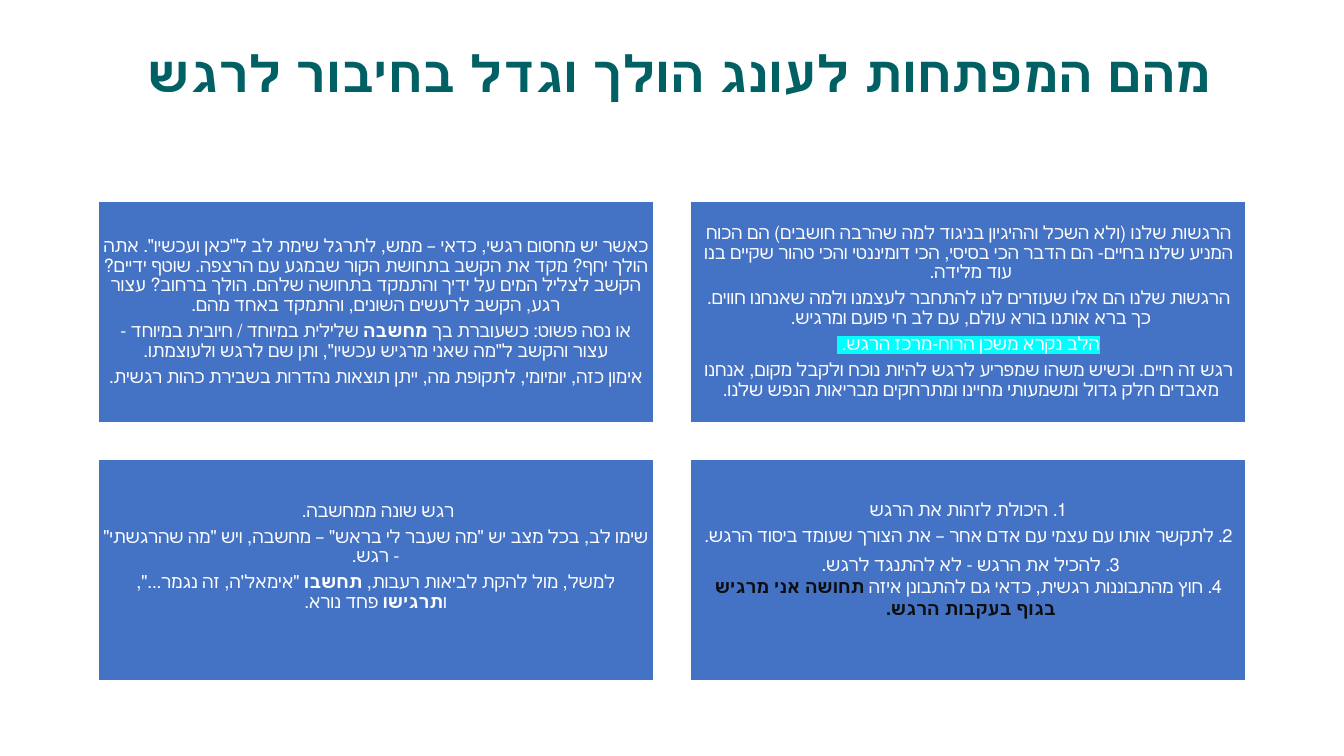
from lxml import etree
from pptx import Presentation
from pptx.dml.color import RGBColor
from pptx.enum.lang import MSO_LANGUAGE_ID
from pptx.enum.shapes import MSO_SHAPE
from pptx.enum.text import MSO_ANCHOR, MSO_AUTO_SIZE, PP_ALIGN
from pptx.oxml.ns import qn
from pptx.util import Inches, Pt

RECTANGLE = MSO_SHAPE.RECTANGLE
TOP, MIDDLE = MSO_ANCHOR.TOP, MSO_ANCHOR.MIDDLE
NO_AUTOFIT = MSO_AUTO_SIZE.NONE
CENTER = PP_ALIGN.CENTER
HEBREW = MSO_LANGUAGE_ID.HEBREW

COLORS = {"title": "016064", "card": "4472C4", "white": "FFFFFF",
          "emphasis": "0D0D0D", "highlight": "00FFFF"}
FONT = "Calibri"
BOLD = {"bold": True}
DARK_BOLD = {"bold": True, "color": "emphasis"}
MARKED = {"highlight": "highlight"}

TITLE = "מהם המפתחות לעונג הולך וגדל בחיבור לרגש "

# Each card is a list of paragraphs, each paragraph a list of (text, style) runs.
ATTENTION = [
    [("כאשר יש מחסום רגשי, כדאי – ממש, לתרגל שימת לב ל\"כאן ועכשיו\". אתה הולך יחף? "
      "מקד את הקשב בתחושת הקור שבמגע עם הרצפה. שוטף ידיים? הקשב לצליל המים על ידיך "
      "והתמקד בתחושה שלהם. הולך ברחוב? עצור רגע, הקשב לרעשים השונים, והתמקד באחד מהם.", {})],
    [("או נסה פשוט: כשעוברת בך ", {}), ("מחשבה", BOLD),
     (" שלילית במיוחד / חיובית במיוחד - עצור והקשב ל\"מה שאני מרגיש עכשיו\", "
      "ותן שם לרגש ולעוצמתו.", {})],
    [("אימון כזה, יומיומי, לתקופת מה, ייתן תוצאות נהדרות בשבירת כהות רגשית.", {})],
]
POWER_OF_FEELING = [
    [("הרגשות שלנו (ולא השכל וההיגיון בניגוד למה שהרבה חושבים) הם הכוח המניע שלנו "
      "בחיים- הם הדבר הכי בסיסי, הכי דומיננטי והכי טהור שקיים בנו עוד מלידה. ", {})],
    [("הרגשות שלנו הם אלו שעוזרים לנו להתחבר לעצמנו ולמה שאנחנו חווים. "
      "כך ברא אותנו בורא עולם, עם לב חי פועם ומרגיש. ", {})],
    [("הלב נקרא משכן הרוח-מרכז הרגש. ", MARKED)],
    [("רגש זה חיים. וכשיש משהו שמפריע לרגש להיות נוכח ולקבל מקום, אנחנו מאבדים "
      "חלק גדול ומשמעותי מחיינו ומתרחקים מבריאות הנפש שלנו. ", {})],
]
FEELING_VS_THOUGHT = [
    [("רגש שונה ממחשבה. ", {})],
    [("שימו לב, בכל מצב יש \"מה שעבר לי בראש\" – מחשבה, ויש \"מה שהרגשתי\" - רגש.", {})],
    [("למשל, מול להקת לביאות רעבות, ", {}), ("תחשבו", BOLD),
     (" \"אימאל'ה, זה נגמר...\", ו", {}), ("תרגישו", BOLD), (" פחד נורא.", {})],
]
STEPS = [
    [("1. היכולת לזהות את הרגש", {})],
    [("2. לתקשר אותו עם עצמי עם אדם אחר – את הצורך שעומד ביסוד הרגש.", {})],
    [("3. להכיל את הרגש - לא להתנגד לרגש. ", {})],
    [("4. חוץ מהתבוננות רגשית, כדאי גם להתבונן איזה ", {}),
     ("תחושה אני מרגיש בגוף בעקבות הרגש. ", DARK_BOLD)],
]


class SlideBuilder:
    def __init__(self, slide):
        self.slide = slide

    def add_run(self, paragraph, text, size, color="white", bold=False, highlight=None):
        run = paragraph.add_run()
        run.text = text
        font = run.font
        font.size, font.bold, font.name = Pt(size), bold, FONT
        font.language_id = HEBREW
        font.color.rgb = RGBColor.from_string(COLORS[color])
        if highlight:
            mark = etree.Element(qn("a:highlight"))
            etree.SubElement(mark, qn("a:srgbClr"), val=COLORS[highlight])
            font._element.find(qn("a:latin")).addprevious(mark)

    def format_paragraph(self, paragraph, line_spacing=0.9, space_after=0):
        paragraph.alignment = CENTER
        paragraph.line_spacing = line_spacing
        paragraph.space_before = Pt(0)
        paragraph.space_after = Pt(space_after)
        paragraph._p.get_or_add_pPr().set("rtl", "1")

    def add_title(self, text):
        title = self.slide.shapes.title
        title.left, title.top = Inches(0.92), Inches(0.4)
        title.width, title.height = Inches(11.5), Inches(1.45)
        frame = title.text_frame
        frame.auto_size, frame.vertical_anchor = NO_AUTOFIT, TOP
        frame.margin_top = Inches(0.09)
        self.format_paragraph(frame.paragraphs[0])
        self.add_run(frame.paragraphs[0], text, 36, "title", bold=True)

    def add_card(self, left, top, paragraphs, bottom_margin, tight_from):
        """Paragraphs from index tight_from on have single spacing and no gap."""
        card = self.slide.shapes.add_shape(
            RECTANGLE, Inches(left), Inches(top), Inches(5.51), Inches(2.19))
        card.shadow.inherit = False
        card.fill.solid()
        card.fill.fore_color.rgb = RGBColor.from_string(COLORS["card"])
        card.line.color.rgb = RGBColor.from_string(COLORS["white"])
        card.line.width = Pt(1)
        frame = card.text_frame
        frame.word_wrap, frame.vertical_anchor = True, MIDDLE
        frame.margin_left = frame.margin_right = frame.margin_top = Inches(0.05)
        frame.margin_bottom = Inches(bottom_margin)
        for index, runs in enumerate(paragraphs):
            paragraph = frame.add_paragraph() if index else frame.paragraphs[0]
            if index < tight_from:
                self.format_paragraph(paragraph, space_after=4.55)
            else:
                self.format_paragraph(paragraph, line_spacing=1.0)
            for text, style in runs:
                self.add_run(paragraph, text, 13, **style)


def main():
    deck = Presentation()
    deck.slide_width, deck.slide_height = Inches(13.33), Inches(7.5)
    builder = SlideBuilder(deck.slides.add_slide(deck.slide_layouts[5]))
    builder.add_title(TITLE)
    cards = [(ATTENTION, 0.05, 3), (POWER_OF_FEELING, 0.05, 4),
             (FEELING_VS_THOUGHT, 0.31, 3), (STEPS, 0.25, 2)]
    for index, (paragraphs, bottom_margin, tight_from) in enumerate(cards):
        row, column = divmod(index, 2)
        builder.add_card(0.97 + column * 5.88, 2 + row * 2.56,
                         paragraphs, bottom_margin, tight_from)
    deck.save("out.pptx")


if __name__ == "__main__":
    main()
